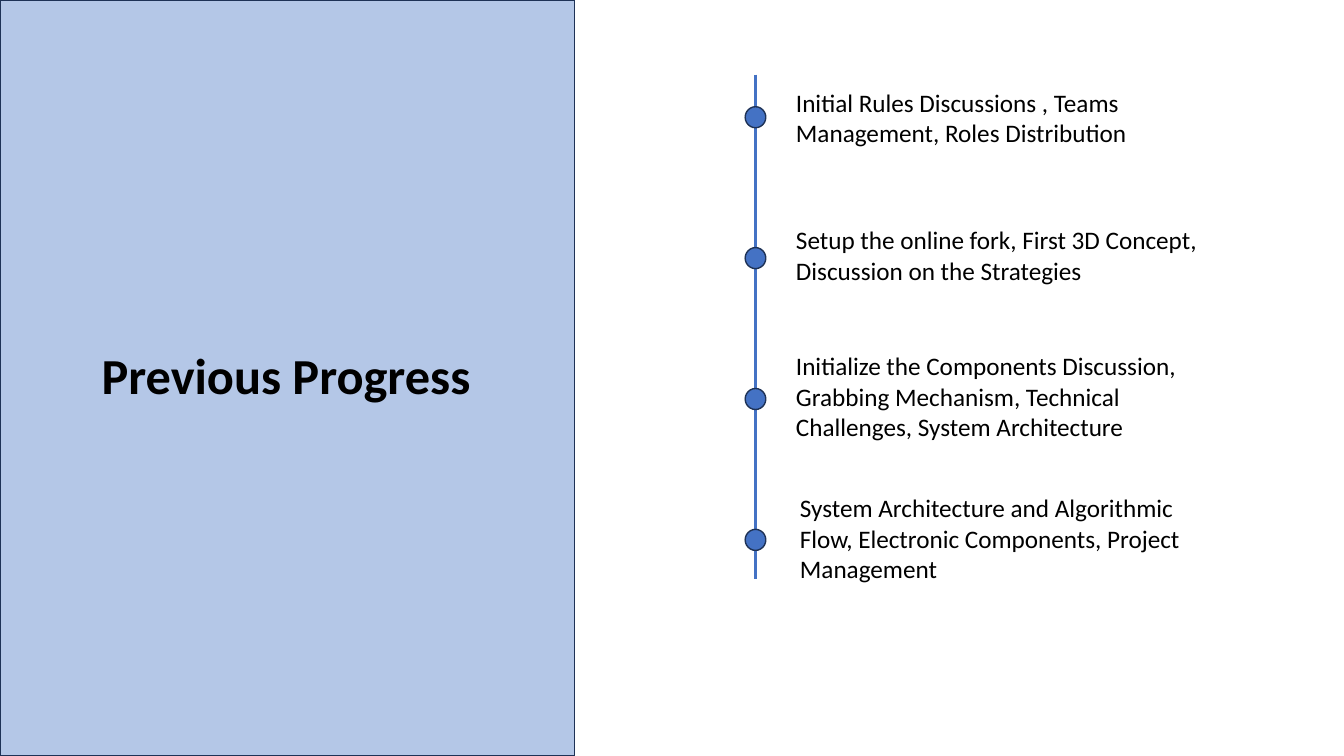
from lxml.etree import SubElement
from pptx import Presentation
from pptx.dml.color import RGBColor
from pptx.enum.shapes import MSO_CONNECTOR, MSO_SHAPE
from pptx.enum.text import MSO_ANCHOR, MSO_AUTO_SIZE
from pptx.oxml.ns import qn
from pptx.util import Cm, Pt

COLORS = {
    "panel": "B4C7E7",
    "accent": "4472C4",
    "outline": "1E3256",
    "text": "000000",
}


def add_outlined_shape(kind, left, top, width, height, fill):
    shape = slide.shapes.add_shape(kind, Cm(left), Cm(top), Cm(width), Cm(height))
    shape.shadow.inherit = False
    shape.fill.solid()
    shape.fill.fore_color.rgb = RGBColor.from_string(COLORS[fill])
    shape.line.color.rgb = RGBColor.from_string(COLORS["outline"])
    shape.line.width = Pt(1)


def add_text(text, left, top, width, height, size, bold=False):
    box = slide.shapes.add_textbox(Cm(left), Cm(top), Cm(width), Cm(height))
    box.text_frame.word_wrap = True
    paragraph = box.text_frame.paragraphs[0]
    paragraph.text = text
    paragraph.font.name = "Calibri"
    paragraph.font.size = Pt(size)
    paragraph.font.bold = bold
    paragraph.font.color.rgb = RGBColor.from_string(COLORS["text"])
    return box.text_frame


presentation = Presentation()
presentation.slide_width = Cm(33.87)
presentation.slide_height = Cm(19.05)
slide = presentation.slides.add_slide(presentation.slide_layouts[6])

# Title panel
add_outlined_shape(MSO_SHAPE.RECTANGLE, 0, 0, 14.48, 19.05, "panel")
title = add_text("Previous Progress", 2.31, 7.7, 11.46, 3.68, 36, bold=True)
title.vertical_anchor = MSO_ANCHOR.MIDDLE
title.paragraphs[0].line_spacing = 0.9

# Timeline axis
axis = slide.shapes.add_connector(
    MSO_CONNECTOR.STRAIGHT, Cm(19.05), Cm(1.88), Cm(19.05), Cm(14.58)
)
axis.line.color.rgb = RGBColor.from_string(COLORS["accent"])
axis.line.width = Pt(2.25)
SubElement(axis.element.spPr, qn("a:effectLst"))

# Milestones: left, top and height of each label, then its text
milestones = [
    (19.81, 2.08, 1.8, "Initial Rules Discussions , Teams Management, Roles Distribution"),
    (19.81, 5.54, 1.8, "Setup the online fork, First 3D Concept, Discussion on the Strategies"),
    (19.81, 8.71, 2.57, "Initialize the Components Discussion, Grabbing Mechanism, "
                        "Technical Challenges, System Architecture"),
    (19.91, 12.29, 2.57, "System Architecture and Algorithmic Flow, Electronic Components, "
                         "Project Management"),
]
for index, (left, top, height, text) in enumerate(milestones):
    add_outlined_shape(MSO_SHAPE.OVAL, 18.78, 2.69 + 3.55 * index, 0.52, 0.53, "accent")
    label = add_text(text, left, top, 10.77, height, 18)
    label.auto_size = MSO_AUTO_SIZE.SHAPE_TO_FIT_TEXT

presentation.save("out.pptx")
